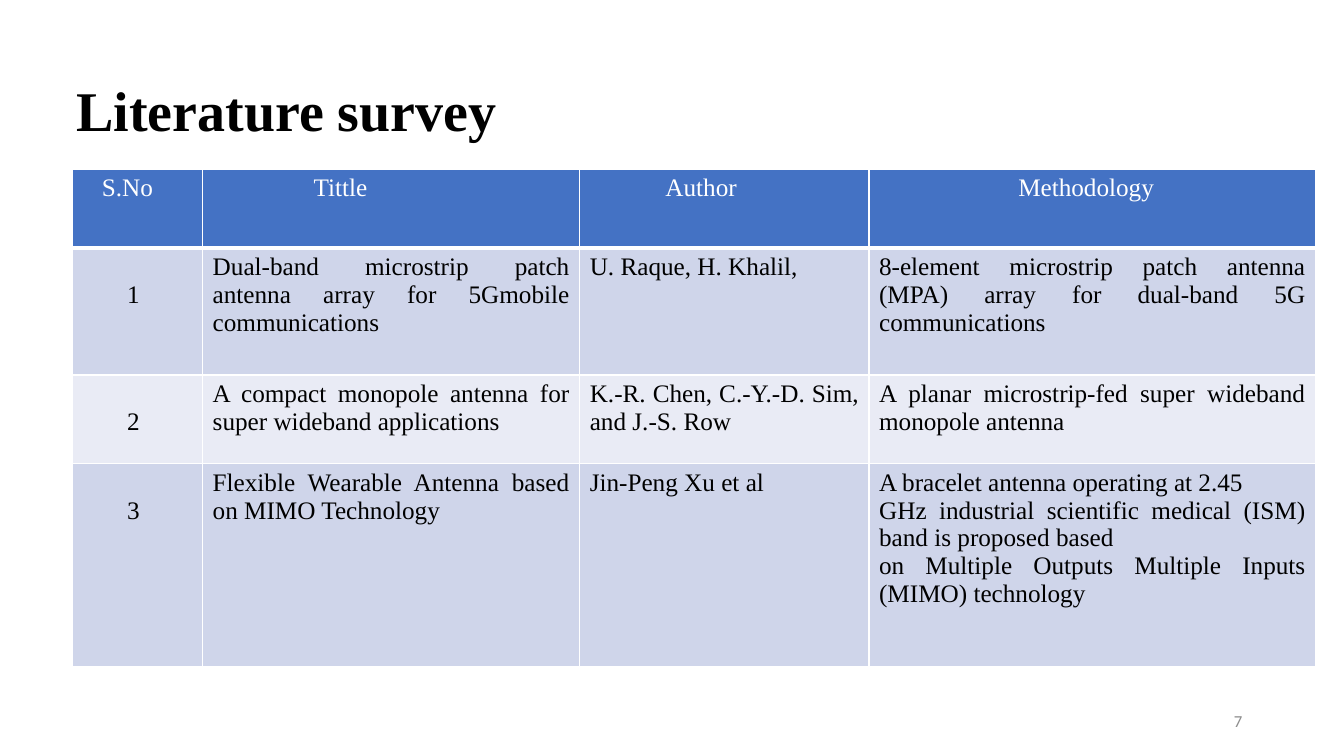
from dataclasses import dataclass

from lxml import etree
from pptx import Presentation
from pptx.dml.color import RGBColor
from pptx.enum.text import MSO_ANCHOR, PP_ALIGN
from pptx.oxml.ns import qn
from pptx.slide import Slide
from pptx.table import _Cell
from pptx.text.text import TextFrame
from pptx.util import Inches, Pt

LEFT, RIGHT, JUSTIFY = PP_ALIGN.LEFT, PP_ALIGN.RIGHT, PP_ALIGN.JUSTIFY
MIDDLE = MSO_ANCHOR.MIDDLE
SERIF, SANS = "Times New Roman", "Calibri"
BLACK, WHITE, GREY = "000000", "FFFFFF", "8C8C8C"
HEADER_FILL, BAND_FILLS = "4472C4", ("E9EBF5", "CFD5EA")
COLUMN_WIDTHS = (1.29, 3.74, 2.87, 4.43)
SIDE_MARGIN, TOP_MARGIN, LINE_HEIGHT = 0.1, 0.05, 0.28
NUMBER_INDENT = 0.44


@dataclass(frozen=True)
class TextStyle:
    size: float
    font: str
    color: str
    align: PP_ALIGN
    bold: bool = False
    line_spacing: float = 1.0


@dataclass(frozen=True)
class Heading:
    label: str
    indent: float


@dataclass(frozen=True)
class Study:
    title: str
    authors: str
    methodology: tuple[str, ...]
    height: float


TITLE_STYLE = TextStyle(40, SERIF, BLACK, LEFT, True, 0.9)
HEADER_STYLE = TextStyle(18, SERIF, WHITE, JUSTIFY)
BODY_STYLE = TextStyle(18, SERIF, BLACK, JUSTIFY)
PAGE_STYLE = TextStyle(12, SANS, GREY, RIGHT)

HEADER_HEIGHT = 0.78
HEADINGS = (
    Heading("S.No", 0.19),
    Heading("Tittle", 1.0),
    Heading("Author", 0.75),
    Heading("Methodology", 1.38),
)
STUDIES = (
    Study(
        "Dual-band microstrip patch antenna array for 5Gmobile communications",
        "U. Raque, H. Khalil,",
        ("8-element microstrip patch antenna (MPA) array for dual-band 5G communications",),
        1.26,
    ),
    Study(
        "A compact monopole antenna for super wideband applications",
        "K.-R. Chen, C.-Y.-D. Sim, and J.-S. Row",
        ("A planar microstrip-fed super wideband monopole antenna",),
        0.88,
    ),
    Study(
        "Flexible Wearable Antenna based on MIMO Technology",
        "Jin-Peng Xu et al",
        (
            "A bracelet antenna operating at 2.45",
            "GHz industrial scientific medical (ISM) band is proposed based",
            "on Multiple Outputs Multiple Inputs (MIMO) technology",
        ),
        2.01,
    ),
)


def rgb(color: str) -> RGBColor:
    return RGBColor.from_string(color)


def write(frame: TextFrame, lines: tuple[str, ...], style: TextStyle) -> None:
    for index, line in enumerate(lines):
        paragraph = frame.add_paragraph() if index else frame.paragraphs[0]
        paragraph.alignment = style.align
        paragraph.line_spacing = style.line_spacing
        run = paragraph.add_run()
        run.text = line
        run.font.size = Pt(style.size)
        run.font.name = style.font
        run.font.bold = style.bold
        run.font.color.rgb = rgb(style.color)


def add_label(
    slide: Slide, left: float, top: float, width: float, height: float, text: str, style: TextStyle
) -> None:
    box = slide.shapes.add_textbox(Inches(left), Inches(top), Inches(width), Inches(height))
    box.text_frame.word_wrap = True
    box.text_frame.vertical_anchor = MIDDLE
    write(box.text_frame, (text,), style)


def set_borders(cell: _Cell, top: float, bottom: float) -> None:
    properties = cell._tc.get_or_add_tcPr()
    edges = (("a:lnL", 1), ("a:lnR", 1), ("a:lnT", top), ("a:lnB", bottom))
    for position, (tag, width) in enumerate(edges):
        line = etree.Element(qn(tag), w=str(Pt(width)))
        fill = etree.SubElement(line, qn("a:solidFill"))
        etree.SubElement(fill, qn("a:srgbClr"), val=WHITE)
        properties.insert(position, line)


def fill_cell(
    cell: _Cell,
    lines: tuple[str, ...],
    style: TextStyle,
    fill: str,
    top_border: float = 1,
    bottom_border: float = 1,
    indent: float = 0,
    drop: float = 0,
) -> None:
    cell.fill.solid()
    cell.fill.fore_color.rgb = rgb(fill)
    cell.margin_left = Inches(SIDE_MARGIN + indent)
    cell.margin_top = Inches(TOP_MARGIN + drop)
    write(cell.text_frame, lines, style)
    set_borders(cell, top_border, bottom_border)


def add_survey(slide: Slide) -> None:
    row_heights = (HEADER_HEIGHT, *(study.height for study in STUDIES))
    survey = slide.shapes.add_table(
        len(row_heights),
        len(COLUMN_WIDTHS),
        Inches(0.72),
        Inches(1.68),
        Inches(sum(COLUMN_WIDTHS)),
        Inches(sum(row_heights)),
    ).table
    for column, width in zip(survey.columns, COLUMN_WIDTHS):
        column.width = Inches(width)
    for row, height in zip(survey.rows, row_heights):
        row.height = Inches(height)

    for column, heading in enumerate(HEADINGS):
        fill_cell(
            survey.cell(0, column),
            (heading.label,),
            HEADER_STYLE,
            HEADER_FILL,
            bottom_border=3,
            indent=heading.indent,
        )
    for number, study in enumerate(STUDIES, start=1):
        entries = ((str(number),), (study.title,), (study.authors,), study.methodology)
        for column, lines in enumerate(entries):
            is_number = column == 0
            fill_cell(
                survey.cell(number, column),
                lines,
                BODY_STYLE,
                BAND_FILLS[number % 2],
                top_border=3 if number == 1 else 1,
                indent=NUMBER_INDENT if is_number else 0,
                drop=LINE_HEIGHT if is_number else 0,
            )


def main() -> None:
    presentation = Presentation()
    presentation.slide_width = Inches(13.33)
    presentation.slide_height = Inches(7.5)
    slide = presentation.slides.add_slide(presentation.slide_layouts[6])
    add_label(slide, 0.66, 0.4, 11.75, 1.45, "Literature survey", TITLE_STYLE)
    add_survey(slide)
    add_label(slide, 9.42, 6.95, 3, 0.4, "7", PAGE_STYLE)
    presentation.save("out.pptx")


if __name__ == "__main__":
    main()
